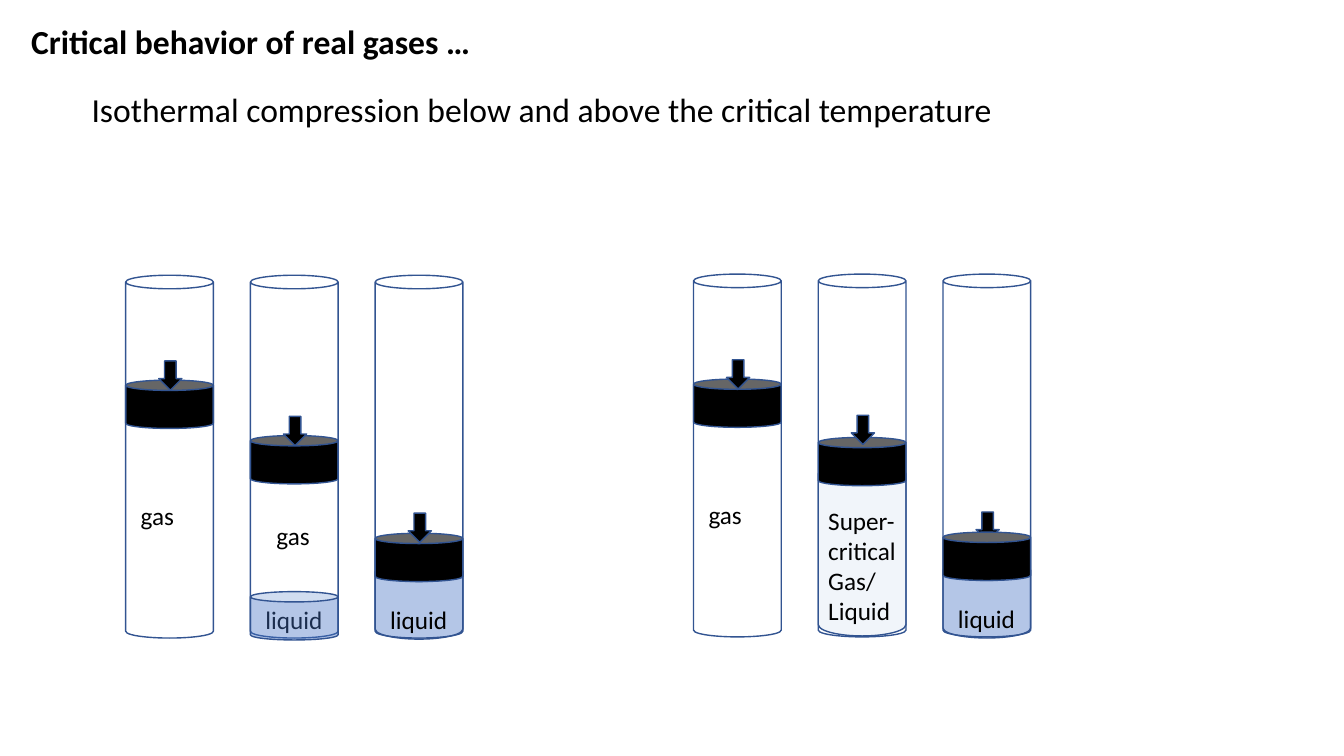
"""Build a slide comparing isothermal compression below and above the critical temperature."""
from lxml.etree import SubElement
from pptx import Presentation
from pptx.dml.color import RGBColor
from pptx.enum.shapes import MSO_SHAPE as Preset
from pptx.enum.text import MSO_AUTO_SIZE as AutoSize
from pptx.oxml.ns import qn
from pptx.util import Pt

BLACK = RGBColor(0x00, 0x00, 0x00)
FLUID_BLUE = RGBColor(0x44, 0x72, 0xC4)
OUTLINE_BLUE = RGBColor(0x32, 0x54, 0x91)

TUBE_WIDTH, TUBE_HEIGHT = 62.64, 259.2
TUBE_PITCH = 89.1
PISTON_HEIGHT = 34.56
ARROW_WIDTH, ARROW_HEIGHT = 16.56, 20.9
LABEL_WIDTH, LABEL_HEIGHT = 73.44, 29
LABEL_INDENT = 3.6
LID_DEPTH = 13.4


def add_outlined(slide, preset, left, top, width, height, color=None, opacity=100):
    """Add a thinly outlined shape, filled only when a colour is given."""
    shape = slide.shapes.add_shape(preset, Pt(left), Pt(top), Pt(width), Pt(height))
    shape.shadow.inherit = False
    shape.line.color.rgb = OUTLINE_BLUE
    shape.line.width = Pt(1)
    if color is None:
        shape.fill.background()
    else:
        shape.fill.solid()
        shape.fill.fore_color.rgb = color
        if opacity < 100:
            tint = shape.fill._xPr.find(f".//{qn('a:srgbClr')}")
            SubElement(tint, qn("a:alpha"), val=str(opacity * 1000))
    return shape


def add_can(slide, left, top, height, lid_depth=LID_DEPTH, color=None, opacity=100):
    """Add a can as wide as a tube, with a lid of the given depth."""
    can = add_outlined(slide, Preset.CAN, left, top, TUBE_WIDTH, height, color, opacity)
    can.adjustments[0] = lid_depth / TUBE_WIDTH


def add_tube(slide, left, top):
    """Add an empty transparent cylinder."""
    add_can(slide, left, top, TUBE_HEIGHT, lid_depth=9.7)


def add_fluid(slide, left, tube_top, depth, height, opacity=40, lid_depth=LID_DEPTH):
    """Add fluid starting at a depth below the top of the tube."""
    add_can(slide, left, tube_top + depth, height, lid_depth, FLUID_BLUE, opacity)


def add_piston(slide, left, tube_top, depth):
    """Add a black piston at a depth below the top of the tube."""
    add_can(slide, left, tube_top + depth, PISTON_HEIGHT, color=BLACK)


def add_push(slide, left, tube_top, depth):
    """Add the arrow pressing on a piston."""
    add_outlined(slide, Preset.DOWN_ARROW, left + 23.6, tube_top + depth,
                 ARROW_WIDTH, ARROW_HEIGHT, BLACK)


def add_text(slide, lines, left, top, width, height, size=18, bold=False, wrap=True):
    """Add a text box with one paragraph per line."""
    box = slide.shapes.add_textbox(Pt(left), Pt(top), Pt(width), Pt(height))
    frame = box.text_frame
    frame.text = "\n".join(lines)
    frame.word_wrap = wrap
    frame.auto_size = AutoSize.SHAPE_TO_FIT_TEXT
    for paragraph in frame.paragraphs:
        for run in paragraph.runs:
            run.font.name = "Calibri"
            run.font.size = Pt(size)
            run.font.bold = bold
            run.font.color.rgb = BLACK


def add_label(slide, word, left, tube_top, depth, indent=LABEL_INDENT):
    """Name the phase inside a tube."""
    add_text(slide, [word], left + indent, tube_top + depth, LABEL_WIDTH, LABEL_HEIGHT)


def add_gas_stage(slide, left, top):
    """Draw the uncompressed gas."""
    add_piston(slide, left, top, 74.9)
    add_tube(slide, left, top)
    add_push(slide, left, top, 61.2)
    add_label(slide, "gas", left, top, 157)


def add_coexistence_stage(slide, left, top):
    """Draw gas and liquid together below the critical temperature."""
    add_piston(slide, left, top, 114.5)
    add_tube(slide, left, top)
    add_push(slide, left, top, 100.8)
    add_label(slide, "gas", left, top, 171.4, indent=11.5)
    add_label(slide, "liquid", left, top, 231.8)
    add_fluid(slide, left, top, 226, PISTON_HEIGHT)


def add_supercritical_stage(slide, left, top):
    """Draw the single supercritical phase."""
    add_fluid(slide, left, top, 134.6, 123.84, opacity=7, lid_depth=16.2)
    add_piston(slide, left, top, 116.6)
    add_tube(slide, left, top)
    add_push(slide, left, top, 100.8)
    add_text(slide, ["Super-critical Gas/", "Liquid"], left, top + 161.3, LABEL_WIDTH, 94.3)


def add_liquid_stage(slide, left, top, push_in_front):
    """Draw the fully compressed liquid."""
    add_fluid(slide, left, top, 204.5, 55.44, lid_depth=16.2)
    if push_in_front:
        add_piston(slide, left, top, 184.3)
    add_tube(slide, left, top)
    add_push(slide, left, top, 169.9)
    if not push_in_front:
        add_piston(slide, left, top, 184.3)
    add_label(slide, "liquid", left, top, 231.8)


def add_compression(slide, left, top, add_middle_stage, push_in_front):
    """Draw three stages of compression at one temperature."""
    add_gas_stage(slide, left, top)
    add_middle_stage(slide, left + TUBE_PITCH, top)
    add_liquid_stage(slide, left + 2 * TUBE_PITCH, top, push_in_front)


def main():
    """Build and save the slide."""
    deck = Presentation()
    deck.slide_width, deck.slide_height = Pt(960), Pt(540)
    slide = deck.slides.add_slide(deck.slide_layouts[6])
    add_compression(slide, 89.8, 196.6, add_coexistence_stage, push_in_front=True)
    add_compression(slide, 495.4, 195.8, add_supercritical_stage, push_in_front=False)
    add_text(slide, ["Critical behavior of real gases …"], 15.1, 11.5, 344.2, 36,
             size=24, bold=True, wrap=False)
    add_text(slide, ["Isothermal compression below and above the critical temperature"],
             58.3, 59.8, 668.9, 36, size=24, wrap=False)
    deck.save("out.pptx")


if __name__ == "__main__":
    main()
